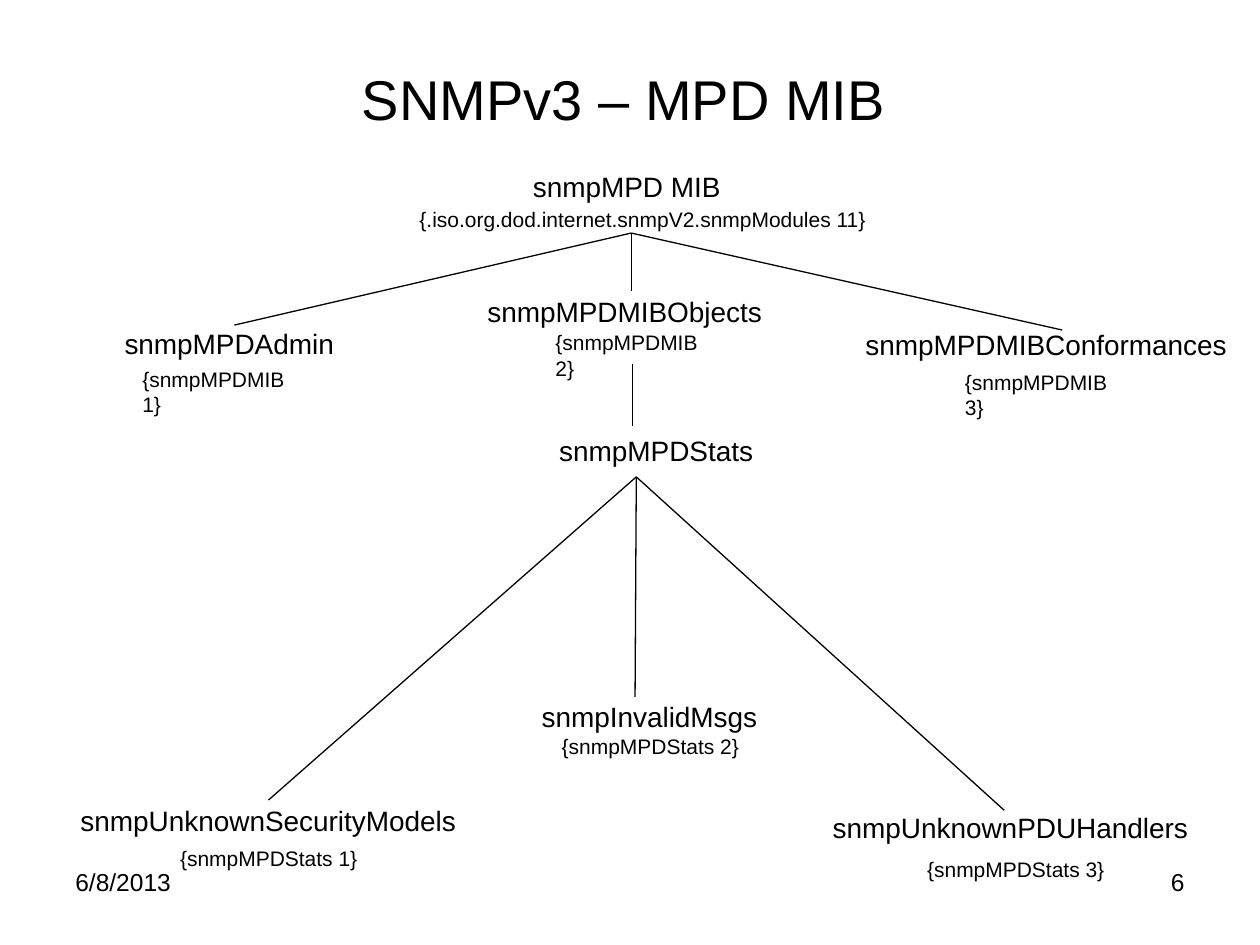
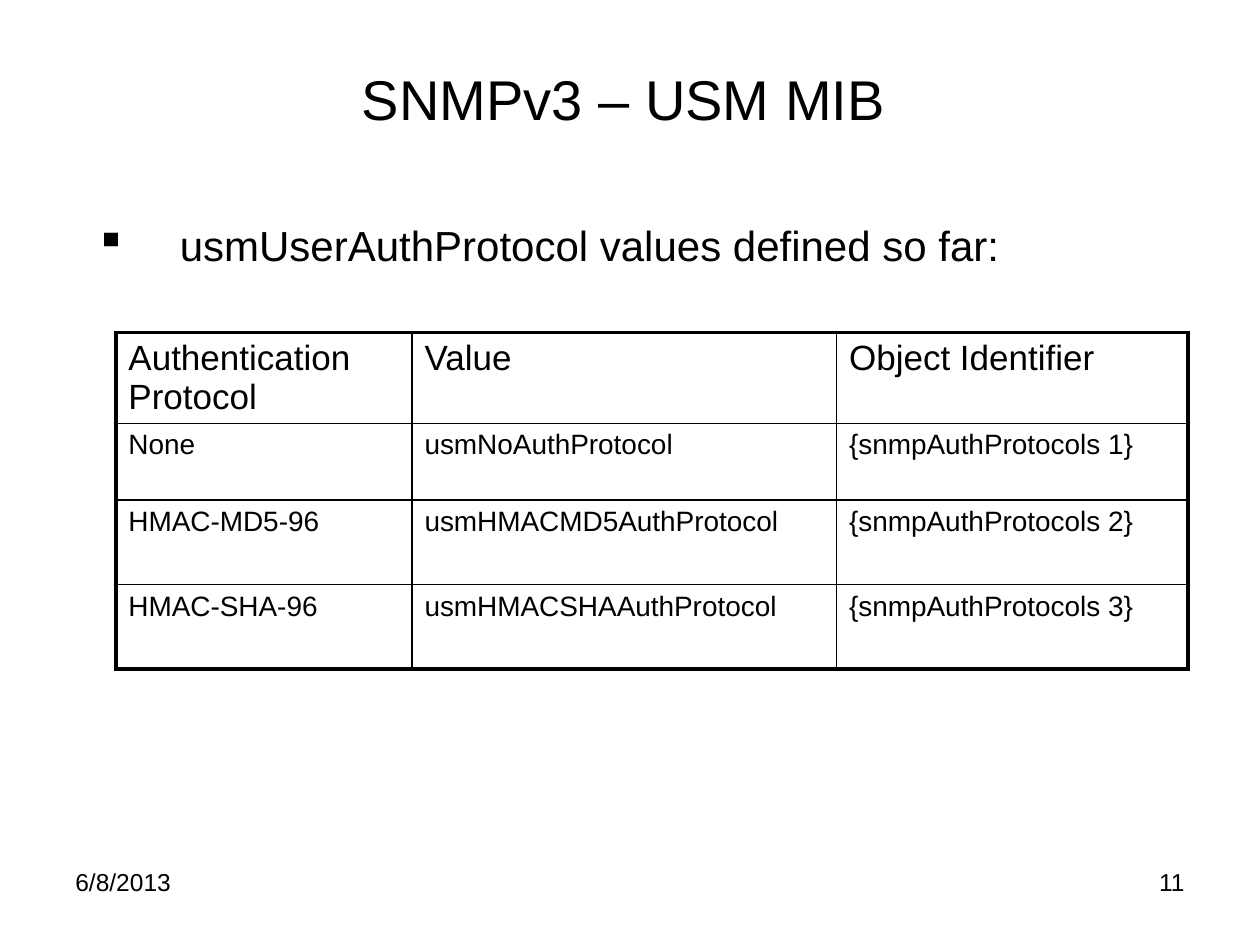
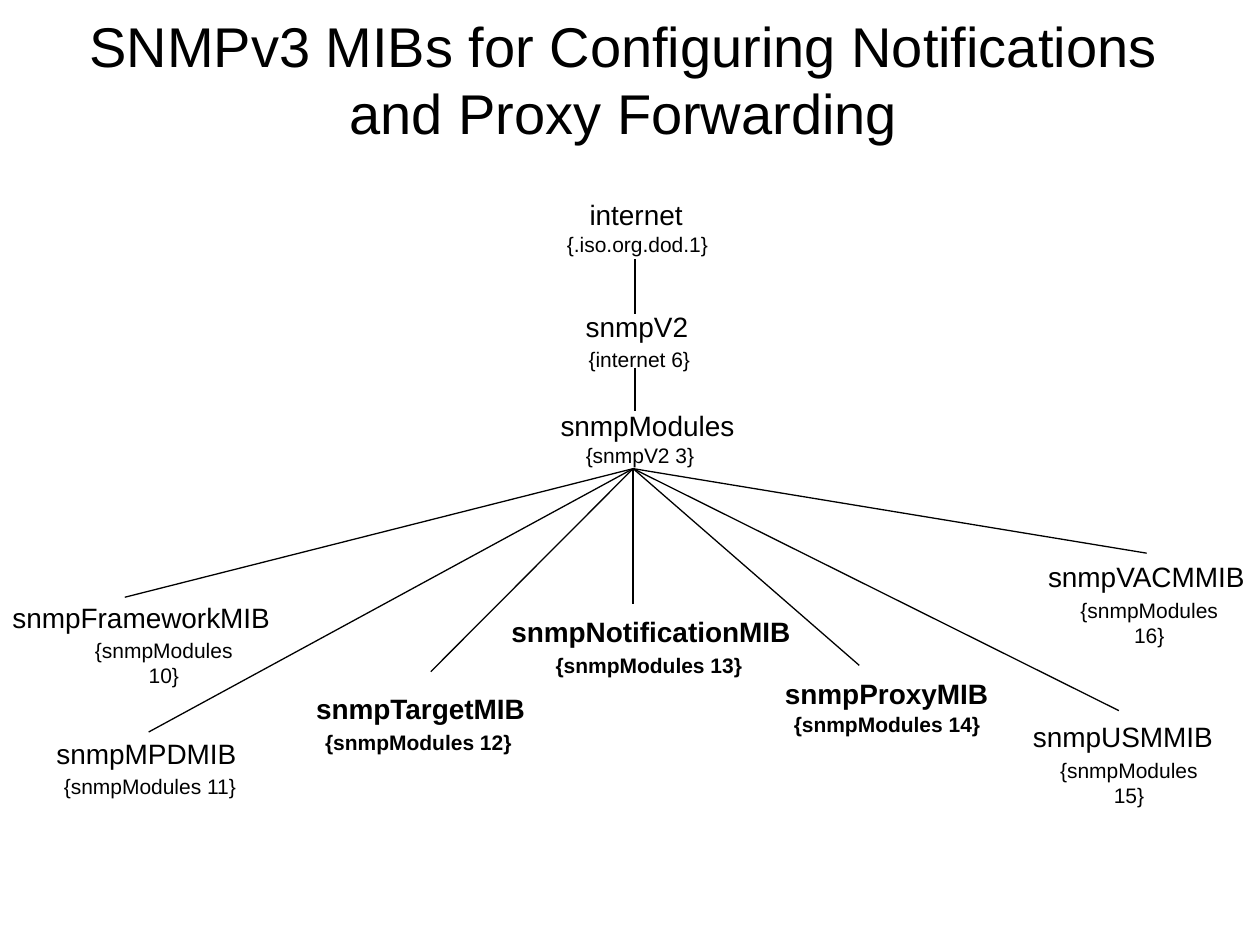
"""Build three slides on SNMPv3 MIB trees and authentication protocols."""
import dataclasses
import typing

import lxml.etree
import pptx
import pptx.dml.color
import pptx.enum.shapes
import pptx.enum.text
import pptx.oxml.ns
import pptx.util

Pt = pptx.util.Pt
Align = pptx.enum.text.PP_ALIGN
Anchor = pptx.enum.text.MSO_ANCHOR
AutoSize = pptx.enum.text.MSO_AUTO_SIZE
qn = pptx.oxml.ns.qn
Point = tuple[float, float]


@dataclasses.dataclass(frozen=True)
class Theme:
    font: str = "Arial"
    ink: str = "000000"
    paper: str = "FFFFFF"
    title: float = 32
    body: float = 24
    header: float = 20
    name: float = 16
    footer: float = 14
    ident: float = 12
    hairline: float = 0.75
    inner_border: float = 1
    outer_border: float = 2.25
    paragraph_gap: float = 0.2


THEME = Theme()
INK = pptx.dml.color.RGBColor.from_string(THEME.ink)


class Frame(typing.NamedTuple):
    left: float
    top: float
    width: float
    height: float


@dataclasses.dataclass(frozen=True)
class Label:
    text: str
    left: float
    top: float
    width: float
    wrap: bool = False


@dataclasses.dataclass(frozen=True)
class Node:
    name: Label
    ident: Label | None = None
    bold: bool = False


@dataclasses.dataclass(frozen=True)
class Fan:
    start: Point
    ends: tuple[Point, ...]


NAME_HEIGHT, IDENT_HEIGHT = 26.6, 21.6
STATS_WIDTH, MPD_WIDTH = 115.9, 109.4
MODULE_WIDTH, BOLD_MODULE_WIDTH, NARROW_MODULE_WIDTH = 113.8, 121, 110
TITLE_FRAME = Frame(32.4, 10.8, 648, 90)
HIGH_TITLE_FRAME = TITLE_FRAME._replace(top=0)
DATE_FRAME = Frame(36, 491.8, 167.8, 37.4)
NUMBER_FRAME = DATE_FRAME._replace(left=516.2)
DATE = "6/8/2013"

MPD_NODES = (
    Node(Label("snmpMPD MIB", 297.4, 93.6, 122.4),
         Label("{.iso.org.dod.internet.snmpV2.snmpModules 11}", 232.6, 114.5, 270)),
    Node(Label("snmpMPDAdmin", 64.1, 182.9, 134.6),
         Label("{snmpMPDMIB 1}", 74.2, 205.9, MPD_WIDTH)),
    Node(Label("snmpMPDMIBObjects", 271.4, 164.9, 172.1),
         Label("{snmpMPDMIB 2}", 310.3, 185, MPD_WIDTH)),
    Node(Label("snmpMPDMIBConformances", 487.4, 183.6, 221.8),
         Label("{snmpMPDMIB 3}", 544.3, 207.4, MPD_WIDTH)),
    Node(Label("snmpMPDStats", 312.5, 244.1, 125.3)),
    Node(Label("snmpUnknownSecurityModels", 38.9, 455.8, 229.7),
         Label("{snmpMPDStats 1}", 95.8, 479.5, STATS_WIDTH)),
    Node(Label("snmpInvalidMsgs", 302.4, 396, 138.2),
         Label("{snmpMPDStats 2}", 313.9, 415.4, STATS_WIDTH)),
    Node(Label("snmpUnknownPDUHandlers", 468.7, 459.4, 217.4),
         Label("{snmpMPDStats 3}", 522.7, 486, STATS_WIDTH)),
)
MPD_FANS = (
    Fan((360.7, 133.2), ((133.9, 185.8), (360.7, 166.3), (607, 188.6))),
    Fan((361.4, 208.1), ((361.4, 243.4),)),
    Fan((363.6, 272.5), ((153.4, 457.2), (362.9, 398.2), (573.8, 463))),
)

MODULE_NODES = (
    Node(Label("internet", 329.8, 109.4, 67.7), Label("{.iso.org.dod.1}", 316.8, 128.9, 95)),
    Node(Label("snmpV2", 327.6, 173.5, 73.4), Label("{internet 6}", 329, 194.4, 72.7)),
    Node(Label("snmpModules", 313.2, 229.7, 113.8), Label("{snmpV2 3}", 327.6, 249.1, 76.3)),
    Node(Label("snmpFrameworkMIB", 0, 339.8, 162),
         Label("{snmpModules 10}", 38.6, 360.7, NARROW_MODULE_WIDTH, True)),
    Node(Label("snmpMPDMIB", 25.2, 417.6, 117.4),
         Label("{snmpModules 11}", 28.8, 438.5, MODULE_WIDTH)),
    Node(Label("snmpTargetMIB", 173.5, 391.7, 135.4),
         Label("{snmpModules 12}", 178.6, 413.3, BOLD_MODULE_WIDTH), True),
    Node(Label("snmpNotificationMIB", 285.1, 347.8, 176.4),
         Label("{snmpModules 13}", 310.3, 369.4, BOLD_MODULE_WIDTH), True),
    Node(Label("snmpProxyMIB", 441.4, 383, 131),
         Label("{snmpModules 14}", 446.4, 403.2, BOLD_MODULE_WIDTH), True),
    Node(Label("snmpUSMMIB", 583.2, 407.5, 117.4),
         Label("{snmpModules 15}", 590.1, 429.1, NARROW_MODULE_WIDTH, True)),
    Node(Label("snmpVACMMIB", 591.8, 316.1, 128.2),
         Label("{snmpModules 16}", 601.7, 337.7, NARROW_MODULE_WIDTH, True)),
)
MODULE_FANS = (
    Fan((362.9, 148.3), ((362.9, 179.3),)),
    Fan((362.9, 210.2), ((362.9, 234.7),)),
    Fan((361.8, 267.8), ((71.3, 341.3), (85, 418.3), (246.2, 383.8), (361.8, 344.9),
                         (491, 380.2), (639.4, 406.1), (655.2, 316.1))),
)

AUTH_FRAME = Frame(66.2, 190.1, 612.7, 191.4)
AUTH_COLUMNS = (169.2, 242.6, 200.9)
AUTH_ROWS = (51.1, 43.9, 48.2, 48.2)
AUTH_CELLS = (
    ("Authentication Protocol", "Value", "Object Identifier"),
    ("None", "usmNoAuthProtocol", "{snmpAuthProtocols 1}"),
    ("HMAC-MD5-96", "usmHMACMD5AuthProtocol", "{snmpAuthProtocols 2}"),
    ("HMAC-SHA-96", "usmHMACSHAAuthProtocol", "{snmpAuthProtocols 3}"),
)
BULLET_FRAME = Frame(47.5, 121.7, 640.8, 335.5)
BULLET_INDENT = 48.2


def apply_format(target: typing.Any, values: dict[str, typing.Any]) -> None:
    for attribute, value in values.items():
        setattr(target, attribute, value)


def write(frame: typing.Any, text: str, size: float, bold: bool = False,
          align: Align = Align.LEFT, gap: float = 0) -> typing.Any:
    para = frame.paragraphs[0]
    apply_format(para, {"alignment": align, "space_before": Pt(size * gap)})
    span = para.add_run()
    span.text = text
    apply_format(span.font, {"name": THEME.font, "size": Pt(size), "bold": bold})
    span.font.color.rgb = INK
    return para


def add_text(page: typing.Any, area: Frame, text: str, size: float, wrap: bool = True,
             fit: AutoSize = AutoSize.NONE, **style: typing.Any) -> typing.Any:
    box = page.shapes.add_textbox(*map(Pt, area))
    apply_format(box.text_frame, {"word_wrap": wrap, "auto_size": fit})
    return write(box.text_frame, text, size, **style)


def add_page(deck: typing.Any, title: str, area: Frame = TITLE_FRAME) -> typing.Any:
    page = deck.slides.add_slide(deck.slide_layouts.get_by_name("Title Only"))
    page.background.fill.solid()
    page.background.fill.fore_color.rgb = pptx.dml.color.RGBColor.from_string(THEME.paper)
    box = page.shapes.title
    apply_format(box, dict(zip(area._fields, map(Pt, area))))
    apply_format(box.text_frame, {"word_wrap": True, "auto_size": AutoSize.NONE,
                                  "vertical_anchor": Anchor.MIDDLE})
    write(box.text_frame, title, THEME.title, align=Align.CENTER)
    return page


def add_footer(page: typing.Any, number: int) -> None:
    add_text(page, DATE_FRAME, DATE, THEME.footer)
    add_text(page, NUMBER_FRAME, str(number), THEME.footer, align=Align.RIGHT)


def add_label(page: typing.Any, label: Label, height: float, size: float, bold: bool,
              align: Align) -> None:
    add_text(page, Frame(label.left, label.top, label.width, height), label.text, size,
             wrap=label.wrap, fit=AutoSize.SHAPE_TO_FIT_TEXT, bold=bold, align=align)


def add_line(page: typing.Any, start: Point, end: Point) -> None:
    line = page.shapes.add_connector(pptx.enum.shapes.MSO_CONNECTOR.STRAIGHT,
                                     *map(Pt, start + end))
    line.line.width = Pt(THEME.hairline)
    line.line.color.rgb = INK
    lxml.etree.SubElement(line._element.spPr, qn("a:effectLst"))


def add_tree(page: typing.Any, nodes: tuple[Node, ...], fans: tuple[Fan, ...],
             ident_align: Align) -> None:
    for fan in fans:
        for end in fan.ends:
            add_line(page, fan.start, end)
    for node in nodes:
        add_label(page, node.name, NAME_HEIGHT, THEME.name, node.bold, Align.LEFT)
        if node.ident:
            add_label(page, node.ident, IDENT_HEIGHT, THEME.ident, node.bold, ident_align)


def add_bullet(page: typing.Any, text: str) -> None:
    para = add_text(page, BULLET_FRAME, text, THEME.body, gap=THEME.paragraph_gap)
    properties = para._p.get_or_add_pPr()
    properties.set("marL", str(Pt(BULLET_INDENT)))
    properties.set("indent", str(-Pt(BULLET_INDENT)))
    lxml.etree.SubElement(properties, qn("a:buChar"), char="▪")


def set_borders(cell: typing.Any, outer: dict[str, bool]) -> None:
    properties = cell._tc.get_or_add_tcPr()
    for index, (side, is_outer) in enumerate(outer.items()):
        width = THEME.outer_border if is_outer else THEME.inner_border
        border = lxml.etree.Element(qn(f"a:ln{side}"), w=str(Pt(width)))
        fill = lxml.etree.SubElement(border, qn("a:solidFill"))
        lxml.etree.SubElement(fill, qn("a:srgbClr"), val=THEME.ink)
        properties.insert(index, border)


def add_auth_table(page: typing.Any) -> None:
    last_row, last_column = len(AUTH_ROWS) - 1, len(AUTH_COLUMNS) - 1
    table = page.shapes.add_table(len(AUTH_ROWS), len(AUTH_COLUMNS),
                                  *map(Pt, AUTH_FRAME)).table
    apply_format(table, {"first_row": False, "horz_banding": False})
    for column, width in zip(table.columns, AUTH_COLUMNS):
        column.width = Pt(width)
    for row, height in zip(table.rows, AUTH_ROWS):
        row.height = Pt(height)
    for row, texts in enumerate(AUTH_CELLS):
        for column, text in enumerate(texts):
            cell = table.cell(row, column)
            cell.fill.background()
            write(cell.text_frame, text, THEME.name if row else THEME.header,
                  gap=THEME.paragraph_gap)
            set_borders(cell, {"L": column == 0, "R": column == last_column,
                               "T": row == 0, "B": row == last_row})


def build() -> None:
    deck = pptx.Presentation()
    apply_format(deck, {"slide_width": Pt(720), "slide_height": Pt(540)})

    page = add_page(deck, "SNMPv3 – MPD MIB")
    add_tree(page, MPD_NODES, MPD_FANS, Align.LEFT)
    add_footer(page, 6)

    page = add_page(deck, "SNMPv3 – USM MIB")
    add_bullet(page, "usmUserAuthProtocol values defined so far:")
    add_auth_table(page)
    add_footer(page, 11)

    page = add_page(deck, "SNMPv3 MIBs for Configuring Notifications and Proxy Forwarding",
                    HIGH_TITLE_FRAME)
    add_tree(page, MODULE_NODES, MODULE_FANS, Align.CENTER)

    deck.save("out.pptx")


build()
